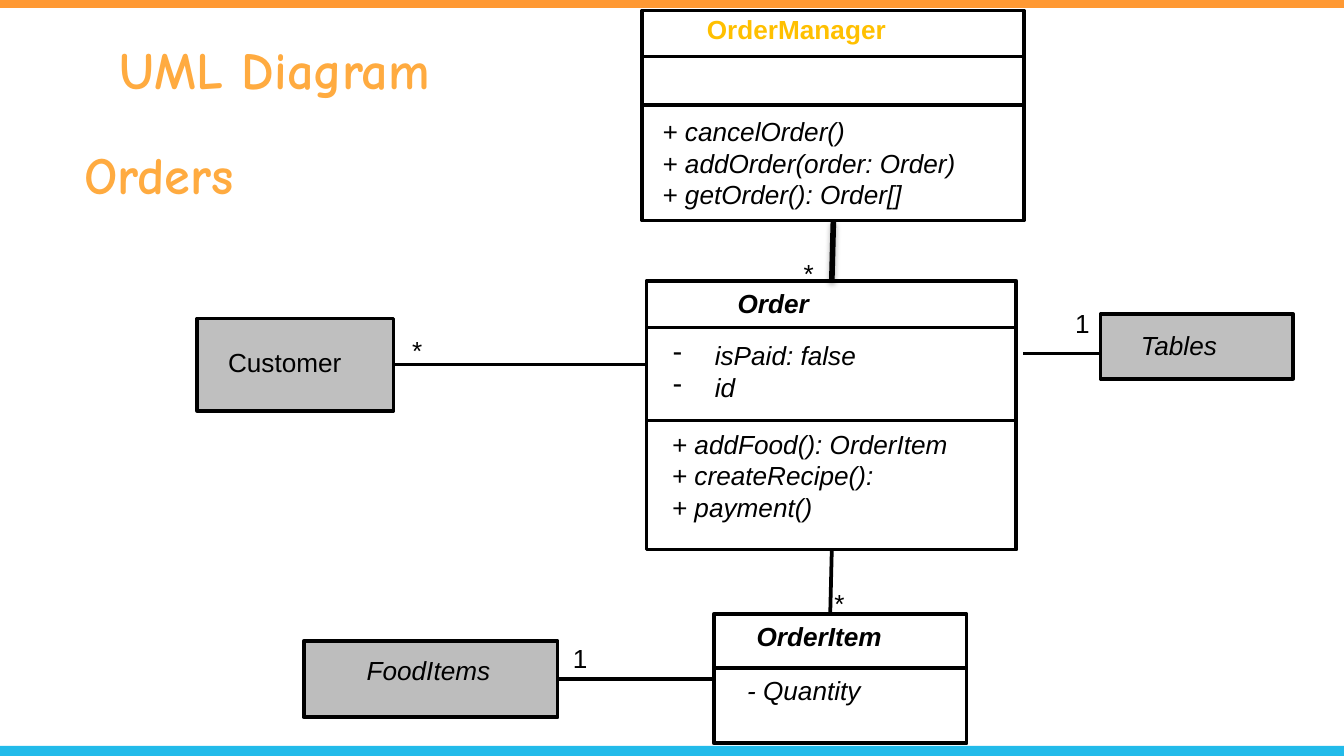
"""Build the UML class diagram slide for orders."""
from lxml import etree
from pptx import Presentation
from pptx.dml.color import RGBColor
from pptx.enum import shapes, text
from pptx.oxml import ns
from pptx.util import Cm, Pt

BLACK = RGBColor(0x00, 0x00, 0x00)
WHITE = RGBColor(0xFF, 0xFF, 0xFF)
GREY = RGBColor(0xBF, 0xBF, 0xBF)
SILVER = RGBColor(0xBD, 0xBD, 0xBD)
GOLD = RGBColor(0xFF, 0xC0, 0x00)
AMBER = RGBColor(0xFF, 0xAB, 0x40)
ORANGE = RGBColor(0xFF, 0x99, 0x33)
BLUE = RGBColor(0x22, 0xBB, 0xEA)

WIDTH, HEIGHT = 25.4, 14.29
PLAIN = {"name": "Arial", "size": Pt(14)}
ITALIC = {**PLAIN, "italic": True}
BOLD = {**PLAIN, "bold": True}
BOLD_ITALIC = {**BOLD, "italic": True}
HEADING = {"name": "Comic Neue", "size": Pt(28), "bold": True}


def add_box(slide, left, top, width, height, fill, outlined=True):
    shape = slide.shapes.add_shape(
        shapes.MSO_SHAPE.RECTANGLE, Cm(left), Cm(top), Cm(width), Cm(height))
    shape.shadow.inherit = False
    shape.fill.solid()
    shape.fill.fore_color.rgb = fill
    if outlined:
        shape.line.color.rgb = BLACK
        shape.line.width = Pt(2)
    else:
        shape.line.fill.background()


def add_line(slide, start_x, start_y, end_x, end_y, width=2, shadow=False):
    connector = slide.shapes.add_connector(
        shapes.MSO_CONNECTOR.STRAIGHT,
        Cm(start_x), Cm(start_y), Cm(end_x), Cm(end_y))
    connector.line.color.rgb = BLACK
    connector.line.width = Pt(width)
    properties = connector._element.spPr
    effects = etree.SubElement(properties, ns.qn("a:effectLst"))
    if shadow:
        outer = etree.SubElement(
            effects, ns.qn("a:outerShdw"), blurRad=str(Pt(3.1)),
            dist=str(Pt(1.8)), dir="5400000", rotWithShape="0")
        color = etree.SubElement(outer, ns.qn("a:srgbClr"), val=str(BLACK))
        etree.SubElement(color, ns.qn("a:alpha"), val="35000")


def add_class(slide, left, top, width, height, dividers):
    add_box(slide, left, top, width, height, WHITE)
    for divider in dividers:
        add_line(slide, left, divider, left + width, divider)


def add_bullet(paragraph, character):
    properties = paragraph._p.get_or_add_pPr()
    properties.set("marL", str(Cm(0.79)))
    properties.set("indent", str(-Cm(0.79)))
    etree.SubElement(properties, ns.qn("a:buChar"), char=character)


def add_text(slide, left, top, width, height, lines, font_format,
             color=BLACK, bullet=None):
    box = slide.shapes.add_textbox(Cm(left), Cm(top), Cm(width), Cm(height))
    frame = box.text_frame
    frame.word_wrap = True
    frame.vertical_anchor = text.MSO_ANCHOR.TOP
    frame.text = "\n".join(lines)
    for paragraph in frame.paragraphs:
        if bullet:
            add_bullet(paragraph, bullet)
        font = paragraph.runs[0].font
        font.color.rgb = color
        for name, value in font_format.items():
            setattr(font, name, value)


def add_frame(slide):
    add_box(slide, 0, 14.1, WIDTH, 0.19, BLUE, outlined=False)
    add_box(slide, 0, 0, WIDTH, 0.15, ORANGE, outlined=False)
    add_text(slide, 2.01, 0.58, 9.73, 1.7, ["UML Diagram"], HEADING, AMBER)
    add_text(slide, 1.35, 2.57, 3.91, 1.45, ["Orders"], HEADING, AMBER)


def add_classes(slide):
    add_class(slide, 12.14, 0.2, 7.21, 3.97, [1.07, 1.98])
    add_text(slide, 13.11, 0.13, 4.45, 1.02, ["OrderManager"], BOLD, GOLD)
    add_text(slide, 12.27, 2.06, 6.6, 2.1,
             ["+ cancelOrder()", "+ addOrder(order: Order)",
              "+ getOrder(): Order[]"], ITALIC)

    add_class(slide, 12.22, 5.31, 6.99, 5.08, [6.19, 7.95])
    add_text(slide, 13.69, 5.31, 2.2, 0.86, ["Order"], BOLD_ITALIC)
    add_text(slide, 12.47, 6.3, 5, 1.45, ["isPaid: false", "id"], ITALIC,
             bullet="-")
    add_text(slide, 12.45, 7.97, 6.2, 2.06,
             ["+ addFood(): OrderItem", "+ createRecipe():",
              "+ payment()"], ITALIC)

    add_class(slide, 13.49, 11.61, 4.78, 2.44, [12.62])
    add_text(slide, 14.05, 11.61, 3.28, 0.86, ["OrderItem"], BOLD_ITALIC)
    add_text(slide, 13.87, 12.62, 3.28, 1.02, ["- Quantity"], ITALIC)


def add_related_entities(slide):
    add_box(slide, 20.8, 5.94, 3.64, 1.22, GREY)
    add_text(slide, 21.31, 6.1, 2.2, 0.86, ["Tables"], ITALIC)
    add_box(slide, 3.73, 6.02, 3.71, 1.75, GREY)
    add_text(slide, 4.06, 6.43, 3.05, 1.02, ["Customer"], PLAIN)
    add_box(slide, 5.74, 12.12, 4.8, 1.44, SILVER)
    add_text(slide, 6.68, 12.24, 3.18, 0.86, ["FoodItems"], ITALIC)


def add_associations(slide):
    add_line(slide, 15.75, 4.17, 15.72, 5.31, width=3, shadow=True)
    add_line(slide, 15.72, 10.39, 15.69, 11.61)
    add_line(slide, 19.34, 6.68, 20.8, 6.68)
    add_line(slide, 7.44, 6.89, 12.22, 6.89)
    add_line(slide, 10.54, 12.83, 13.49, 12.83)
    multiplicities = [
        ("*", 14.94, 4.75), ("*", 15.52, 10.98), ("1", 20.07, 5.69),
        ("*", 7.54, 6.2), ("1", 10.58, 12.01)]
    for label, left, top in multiplicities:
        add_text(slide, left, top, 0.84, 0.86, [label], PLAIN)


def main():
    presentation = Presentation()
    presentation.slide_width = Cm(WIDTH)
    presentation.slide_height = Cm(HEIGHT)
    slide = presentation.slides.add_slide(presentation.slide_layouts[6])
    add_frame(slide)
    add_classes(slide)
    add_related_entities(slide)
    add_associations(slide)
    presentation.save("out.pptx")


if __name__ == "__main__":
    main()
